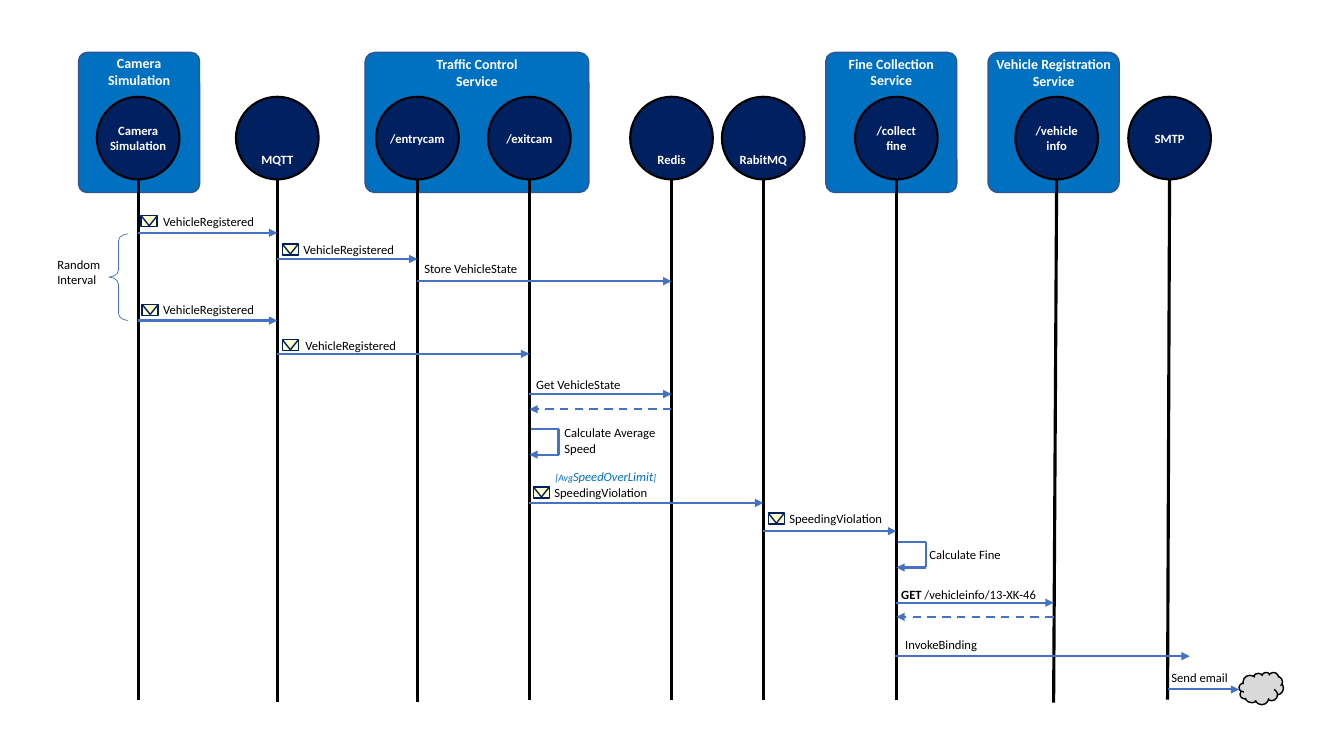
from lxml.etree import SubElement
from pptx import Presentation
from pptx.dml.color import RGBColor
from pptx.enum.dml import MSO_LINE
from pptx.enum.shapes import MSO_CONNECTOR, MSO_SHAPE as SHAPE
from pptx.enum.text import MSO_ANCHOR as ANCHOR, MSO_AUTO_SIZE, PP_ALIGN as ALIGN
from pptx.oxml.ns import qn
from pptx.util import Pt

PX = 9144  # EMU per px, 100 px to the inch
FONT = "Calibri"
COLORS = {
    "black": "000000", "white": "FFFFFF", "frame": "0070C0", "frame_line": "325491",
    "navy": "002060", "message": "4472C4", "envelope": "FFFFCC", "cloud": "D9D9D9",
}

# name: (text, x at top, x at bottom, bottom, text anchor)
LIFELINES = {
    "camera": ("Camera\nSimulation", 137, 137, 694, ANCHOR.MIDDLE),
    "mqtt": ("MQTT", 275, 275, 696, ANCHOR.BOTTOM),
    "entry": ("/entrycam", 414, 414, 696, ANCHOR.MIDDLE),
    "exit": ("/exitcam", 525, 525, 694, ANCHOR.MIDDLE),
    "redis": ("Redis", 666, 666, 694, ANCHOR.BOTTOM),
    "rabbit": ("RabitMQ", 757, 757, 694, ANCHOR.BOTTOM),
    "fine": ("/collect\vfine", 889, 889, 694, ANCHOR.MIDDLE),
    "vehicle": ("/vehicle\vinfo", 1048, 1045, 697, ANCHOR.MIDDLE),
    "smtp": ("SMTP", 1160, 1158, 694, ANCHOR.MIDDLE),
}
# text, left, width, corner
FRAMES = [
    ("Camera\vSimulation", 78, 120, 0.07),
    ("Traffic Control\nService", 362, 222, 0.07),
    ("Fine Collection\vService", 819, 130, 0.07),
    ("Vehicle Registration\vService", 980, 130, 0.08),
]
# start, end, y, dashed
MESSAGES = [
    ("camera", "mqtt", 231, False),
    ("mqtt", "entry", 257, False),
    ("entry", "redis", 279, False),
    ("camera", "mqtt", 318, False),
    ("mqtt", "exit", 351, False),
    ("exit", "redis", 391, False),
    ("redis", "exit", 406, True),
    ("exit", "rabbit", 499, False),
    ("rabbit", "fine", 527, False),
    ("fine", "vehicle", 598, False),
    ("vehicle", "fine", 612, True),
]
# text, left, top, width, height
LABELS = [
    ("VehicleRegistered", 152, 207, 113, 25),
    ("VehicleRegistered", 291, 235, 113, 25),
    ("Store VehicleState", 411, 254, 115, 25),
    ("VehicleRegistered", 152, 295, 113, 25),
    ("VehicleRegistered", 293, 330, 113, 25),
    ("Get VehicleState", 522, 369, 106, 25),
    ("Calculate Average\vSpeed", 550, 417, 115, 40),
    ("SpeedingViolation", 540, 476, 114, 25),
    ("SpeedingViolation", 773, 502, 114, 25),
    ("Calculate Fine", 912, 538, 92, 25),
    ("InvokeBinding", 888, 627, 93, 25),
    ("Send email", 1152, 660, 77, 25),
    ("Random\nInterval", 47, 250, 63, 40),
]
ENVELOPES = [(140, 214), (280, 242), (141, 302), (280, 337), (529, 483), (762, 509)]


def rgb(name):
    return RGBColor.from_string(COLORS[name])


class SequenceDiagram:
    def __init__(self, slide):
        self.slide = slide

    def style_run(self, run, color, size=9, bold=False, italic=False):
        font = run.font
        font.name, font.size, font.bold, font.italic = FONT, Pt(size), bold, italic
        font.color.rgb = rgb(color)

    def shape(self, kind, left, top, width, height, fill, line, weight, shapes=None):
        shape = (shapes or self.slide.shapes).add_shape(
            kind, left * PX, top * PX, width * PX, height * PX)
        shape.shadow.inherit = False
        if fill:
            shape.fill.solid()
            shape.fill.fore_color.rgb = rgb(fill)
        else:
            shape.fill.background()
        shape.line.color.rgb = rgb(line)
        shape.line.width = Pt(weight)
        return shape

    def caption(self, shape, text, size, anchor):
        """Write bold white text inside a frame or circle."""
        frame = shape.text_frame
        frame.margin_left = frame.margin_right = frame.margin_top = frame.margin_bottom = 0
        frame.vertical_anchor = anchor
        frame.text = text
        for paragraph in frame.paragraphs:
            paragraph.alignment = ALIGN.CENTER
            for run in paragraph.runs:
                self.style_run(run, "white", size, bold=True)

    def line(self, x1, y1, x2, y2, color="message", weight=1.5,
             arrow=False, dashed=False, shapes=None):
        connector = (shapes or self.slide.shapes).add_connector(
            MSO_CONNECTOR.STRAIGHT, x1 * PX, y1 * PX, x2 * PX, y2 * PX)
        connector.line.color.rgb = rgb(color)
        connector.line.width = Pt(weight)
        if dashed:
            connector.line.dash_style = MSO_LINE.DASH
        properties = connector.element.spPr
        if arrow:
            SubElement(properties.find(qn("a:ln")), qn("a:tailEnd"), type="triangle")
        SubElement(properties, qn("a:effectLst"))

    def frame(self, text, left, width, corner):
        shape = self.shape(SHAPE.ROUNDED_RECTANGLE, left, 52, width, 139,
                           "frame", "frame_line", 1)
        shape.adjustments[0] = corner
        self.caption(shape, text, 10, ANCHOR.TOP)

    def lifeline(self, text, x, foot_x, foot_y, anchor):
        circle = self.shape(SHAPE.OVAL, x - 41, 96, 82, 82, "navy", "black", 1.5)
        self.caption(circle, text, 9, anchor)
        self.line(x, 178, foot_x, foot_y, "black", 2.25)

    def label(self, left, top, width, height, text):
        box = self.slide.shapes.add_textbox(left * PX, top * PX, width * PX, height * PX)
        frame = box.text_frame
        frame.word_wrap = False
        frame.auto_size = MSO_AUTO_SIZE.SHAPE_TO_FIT_TEXT
        frame.text = text
        for paragraph in frame.paragraphs:
            for run in paragraph.runs:
                self.style_run(run, "black")
        return frame.paragraphs[0]

    def mixed_label(self, left, top, width, color, runs):
        """Write one line whose runs each have their own (text, size, bold, italic)."""
        paragraph = self.label(left, top, width, 25, "")
        for text, size, bold, italic in runs:
            run = paragraph.add_run()
            run.text = text
            self.style_run(run, color, size, bold, italic)

    def envelope(self, left, top):
        shapes = self.slide.shapes.add_group_shape().shapes
        self.shape(SHAPE.RECTANGLE, left, top, 16, 11, "envelope", "navy", 1, shapes)
        for corner_x in (left, left + 16):
            self.line(corner_x, top, left + 8, top + 10, "navy", 1, shapes=shapes)

    def self_call(self, x, top):
        shapes = self.slide.shapes.add_group_shape().shapes
        right, bottom = x + 29, top + 25
        self.line(x + 2, top, right, top, shapes=shapes)
        self.line(right, top, right, bottom, shapes=shapes)
        self.line(right, bottom, x, bottom, arrow=True, shapes=shapes)


def main():
    presentation = Presentation()
    presentation.slide_width, presentation.slide_height = 1333 * PX, 750 * PX
    diagram = SequenceDiagram(presentation.slides.add_slide(presentation.slide_layouts[6]))

    for frame in FRAMES:
        diagram.frame(*frame)
    for lifeline in LIFELINES.values():
        diagram.lifeline(*lifeline)

    for start, end, y, dashed in MESSAGES:
        # foot x keeps arrows on the slanted lifelines
        diagram.line(LIFELINES[start][2], y, LIFELINES[end][2], y, arrow=True, dashed=dashed)
    diagram.line(888, 651, 1180, 651, arrow=True)
    diagram.line(1158, 684, 1229, 684, arrow=True)
    diagram.self_call(525, 426)
    diagram.self_call(889, 538)

    for text, *place in LABELS:
        diagram.label(*place, text)
    diagram.mixed_label(541, 460, 122, "frame", [
        ("[Avg", 7, False, True), ("SpeedOverLimit", 9, False, True), ("]", 7, False, True)])
    diagram.mixed_label(884, 577, 155, "black", [
        ("GET", 9, True, False), (" /vehicleinfo/13-XK-46", 9, False, False)])
    for place in ENVELOPES:
        diagram.envelope(*place)

    brace = diagram.shape(SHAPE.LEFT_BRACE, 108, 232, 19, 86, None, "message", 0.5)
    brace.adjustments[0] = 0.38
    diagram.shape(SHAPE.CLOUD, 1229, 667, 44, 32, "cloud", "black", 1)
    presentation.save("out.pptx")


if __name__ == "__main__":
    main()
